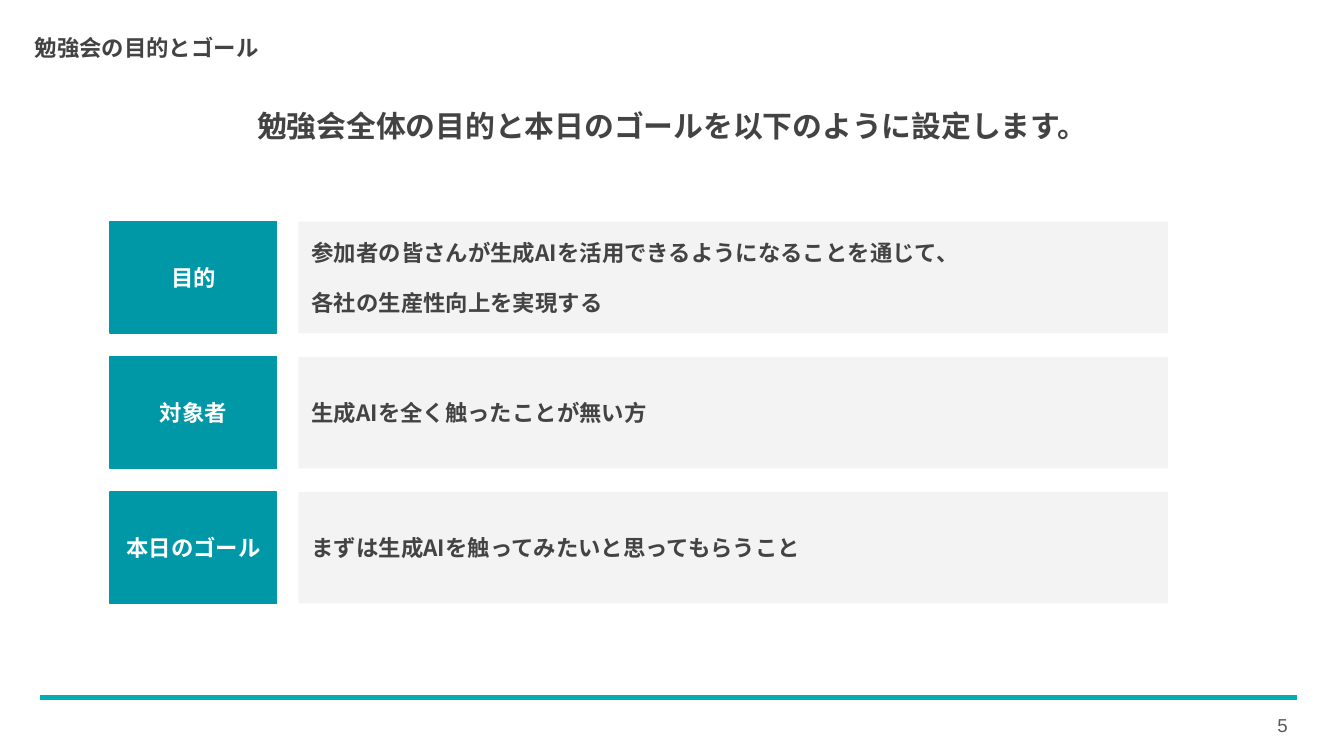
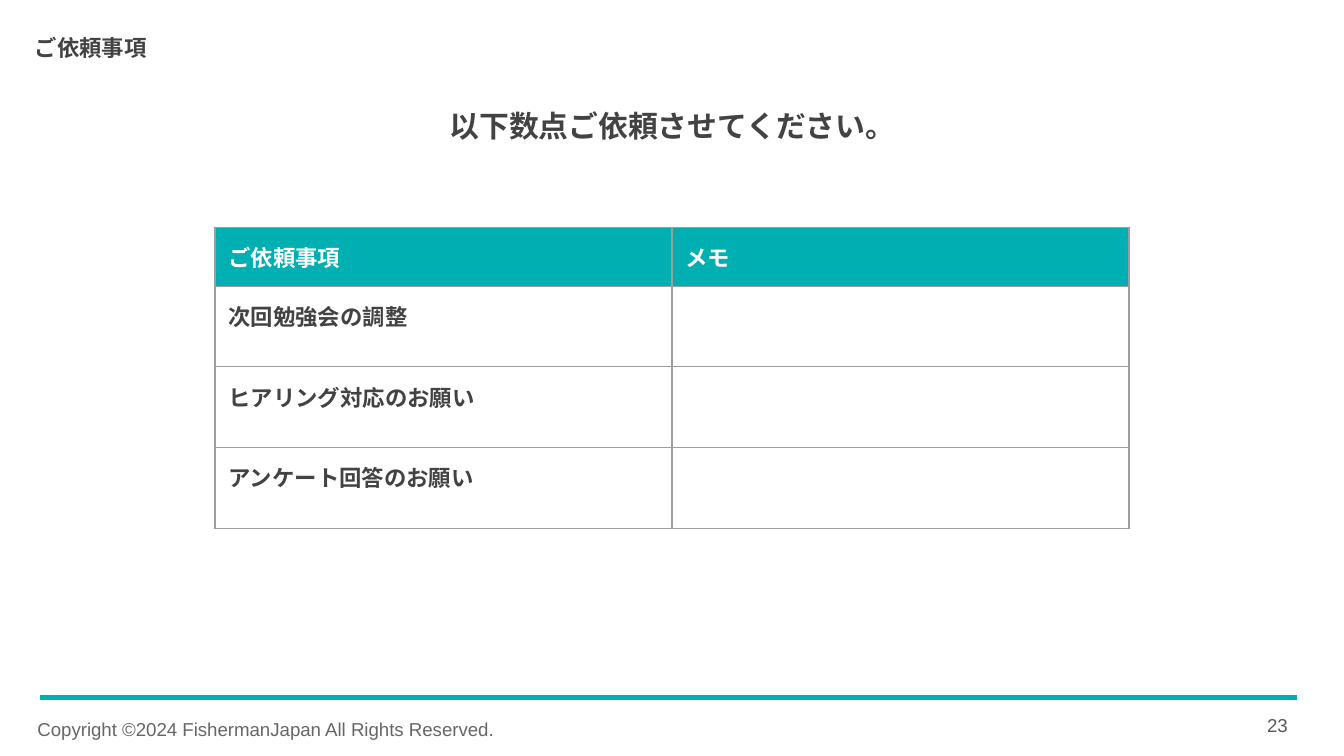
import pptx
import pptx.dml.color
import pptx.enum.shapes
import pptx.enum.text
import pptx.oxml.ns
import pptx.util
from lxml import etree

Inches = pptx.util.Inches
Pt = pptx.util.Pt
ALIGN = pptx.enum.text.PP_ALIGN
ANCHOR = pptx.enum.text.MSO_ANCHOR
qn = pptx.oxml.ns.qn

COLORS = {
    "ink": "434343", "teal": "00AFB2", "label": "0097A7", "panel": "F3F3F3",
    "white": "FFFFFF", "page": "595959", "note": "666666", "grid": "9E9E9E",
}
GOTHIC = "Noto Sans CJK JP"


def color(name):
    return pptx.dml.color.RGBColor.from_string(COLORS[name])


def write(frame, lines, size=12, ink="ink", face=GOTHIC, bold=True,
          align=ALIGN.LEFT, space=None, gap=0):
    """Fill a text frame, one paragraph per line, with gap points between."""
    for i, line in enumerate(lines):
        para = frame.add_paragraph() if i else frame.paragraphs[0]
        para.alignment = align
        if space:
            para.line_spacing = space
        if i:
            para.space_before = Pt(gap)
        run = para.add_run()
        run.text = line
        font = run.font
        font.name, font.size, font.bold = face, Pt(size), bold
        font.color.rgb = color(ink)
        latin = run._r.rPr.find(qn("a:latin"))
        latin.addnext(etree.Element(qn("a:ea"), typeface=face))


def inset(frame, pad, anchor=ANCHOR.MIDDLE):
    frame.word_wrap = True
    frame.vertical_anchor = anchor
    frame.margin_left = frame.margin_right = Inches(0.1)
    frame.margin_top = frame.margin_bottom = Inches(pad)


def label(slide, box, text, pad=0.1, anchor=ANCHOR.MIDDLE, **style):
    frame = slide.shapes.add_textbox(*map(Inches, box)).text_frame
    inset(frame, pad, anchor)
    write(frame, [text], **style)


def block(slide, box, lines, fill, edge=None, pad=0.1, **style):
    shape = slide.shapes.add_shape(
        pptx.enum.shapes.MSO_SHAPE.RECTANGLE, *map(Inches, box))
    shape.shadow.inherit = False
    shape.fill.solid()
    shape.fill.fore_color.rgb = color(fill)
    if edge:
        shape.line.color.rgb = color(edge)
        shape.line.width = Pt(0.75)
    else:
        shape.line.fill.background()
    inset(shape.text_frame, pad)
    write(shape.text_frame, lines, **style)


def frame_page(deck, title, lead, page):
    """Add a slide with its title, lead sentence, rule and page number."""
    slide = deck.slides.add_slide(deck.slide_layouts[6])
    label(slide, (0.16, 0.21, 6.12, 0.2), title, pad=0.05, space=1.47)
    rule = slide.shapes.add_connector(
        pptx.enum.shapes.MSO_CONNECTOR.STRAIGHT,
        *map(Inches, (0.3, 5.19, 9.65, 5.19)))
    rule.line.color.rgb = color("teal")
    rule.line.width = Pt(3)
    etree.SubElement(rule._element.spPr, qn("a:effectLst"))
    label(slide, (9.08, 5.18, 0.6, 0.43), str(page), size=10, ink="page",
          face="Arial", bold=False, align=ALIGN.RIGHT)
    label(slide, (-0.17, 0.49, 10.35, 0.81), lead, pad=0.05, size=16,
          align=ALIGN.CENTER, space=1.3)
    return slide


def goal_rows(slide, box, rows):
    left, top, width, height = box
    tall, head, gap = 0.83, 1.24, 0.16
    step = (height - tall) / (len(rows) - 1)
    for i, (name, lines) in enumerate(rows):
        y = top + i * step
        block(slide, (left, y, head, tall), [name], "label", edge="label",
              ink="white", align=ALIGN.CENTER)
        x = left + head + gap
        block(slide, (x, y, left + width - x, tall), lines, "panel",
              pad=0.05, gap=12)


def border(cell):
    props = cell._tc.get_or_add_tcPr()
    for side in ("lnL", "lnR", "lnT", "lnB"):
        line = etree.SubElement(props, qn("a:" + side), w=str(Pt(0.75)))
        fill = etree.SubElement(line, qn("a:solidFill"))
        etree.SubElement(fill, qn("a:srgbClr"), val=COLORS["grid"])


def task_table(slide, box, rows):
    left, top, width, height = box
    head = 0.44
    table = slide.shapes.add_table(
        len(rows), len(rows[0]), *map(Inches, box)).table
    table.horz_banding = False
    for col in table.columns:
        col.width = Inches(width / len(rows[0]))
    for i, row in enumerate(rows):
        table.rows[i].height = Inches(
            (height - head) / (len(rows) - 1) if i else head)
        for j, text in enumerate(row):
            cell = table.cell(i, j)
            cell.margin_left = cell.margin_right = Inches(0.1)
            cell.margin_top = cell.margin_bottom = Inches(0.1)
            border(cell)
            if i:
                cell.fill.background()
            else:
                cell.fill.solid()
                cell.fill.fore_color.rgb = color("teal")
            if text:
                write(cell.text_frame, [text], ink="ink" if i else "white")


def goal_slide(deck):
    slide = frame_page(deck, "勉強会の目的とゴール",
                       "勉強会全体の目的と本日のゴールを以下のように設定します。", 5)
    goal_rows(slide, (0.82, 1.65, 7.87, 2.84), [
        ("目的", ["参加者の皆さんが生成AIを活用できるようになることを通じて、",
                "各社の生産性向上を実現する"]),
        ("対象者", ["生成AIを全く触ったことが無い方"]),
        ("本日のゴール", ["まずは生成AIを触ってみたいと思ってもらうこと"]),
    ])


def task_slide(deck):
    slide = frame_page(deck, "ご依頼事項", "以下数点ご依頼させてください。", 23)
    label(slide, (0.18, 5.22, 4.19, 0.43),
          "Copyright ©2024 FishermanJapan All Rights Reserved.",
          anchor=ANCHOR.TOP, size=10, ink="note", face="Arial", bold=False,
          space=1.15)
    task_table(slide, (1.6, 1.69, 6.8, 2.24), [
        ("ご依頼事項", "メモ"),
        ("次回勉強会の調整", ""),
        ("ヒアリング対応のお願い", ""),
        ("アンケート回答のお願い", ""),
    ])


def main():
    deck = pptx.Presentation()
    deck.slide_width = Inches(10)
    deck.slide_height = deck.slide_width * 9 // 16
    goal_slide(deck)
    task_slide(deck)
    deck.save("out.pptx")


if __name__ == "__main__":
    main()
